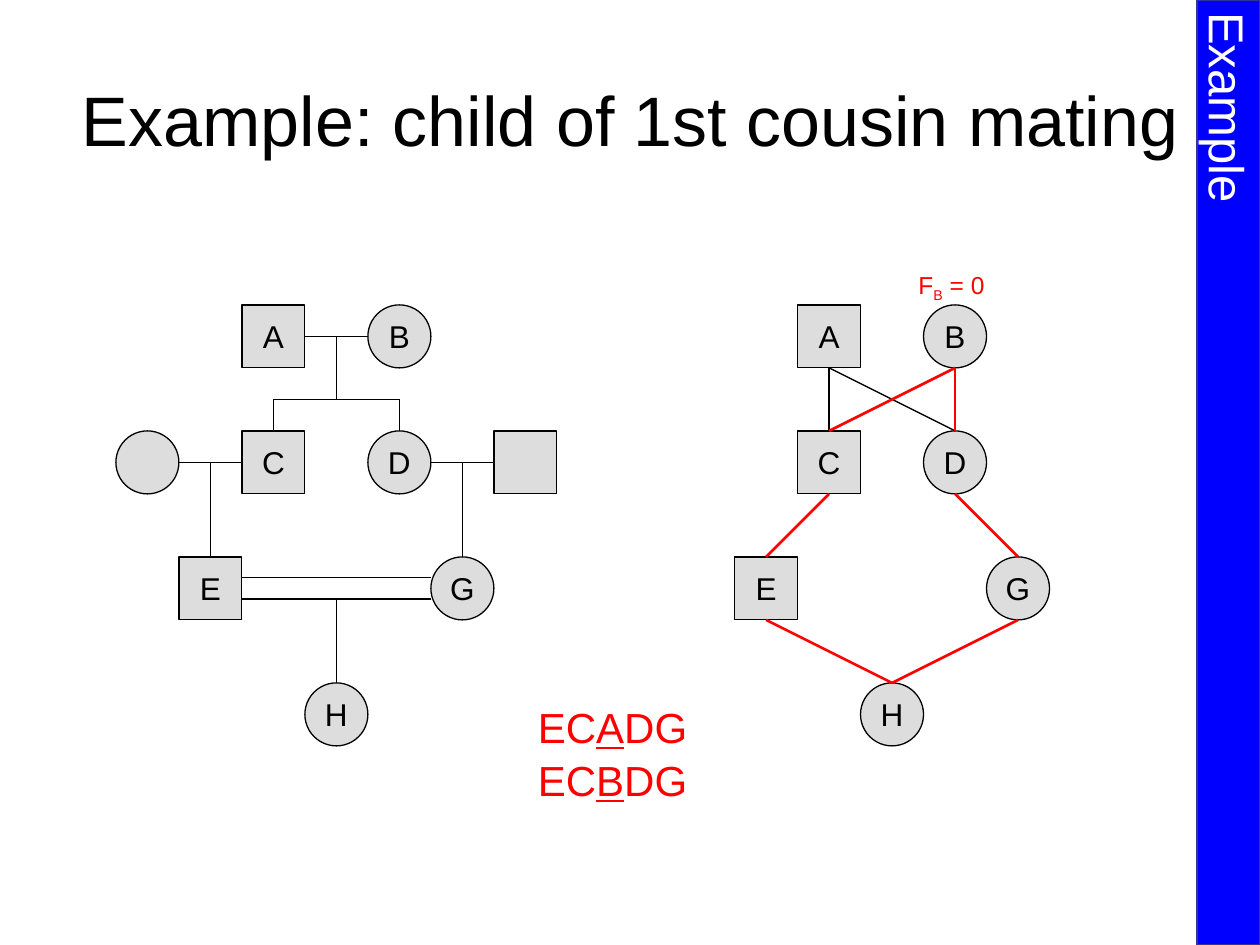
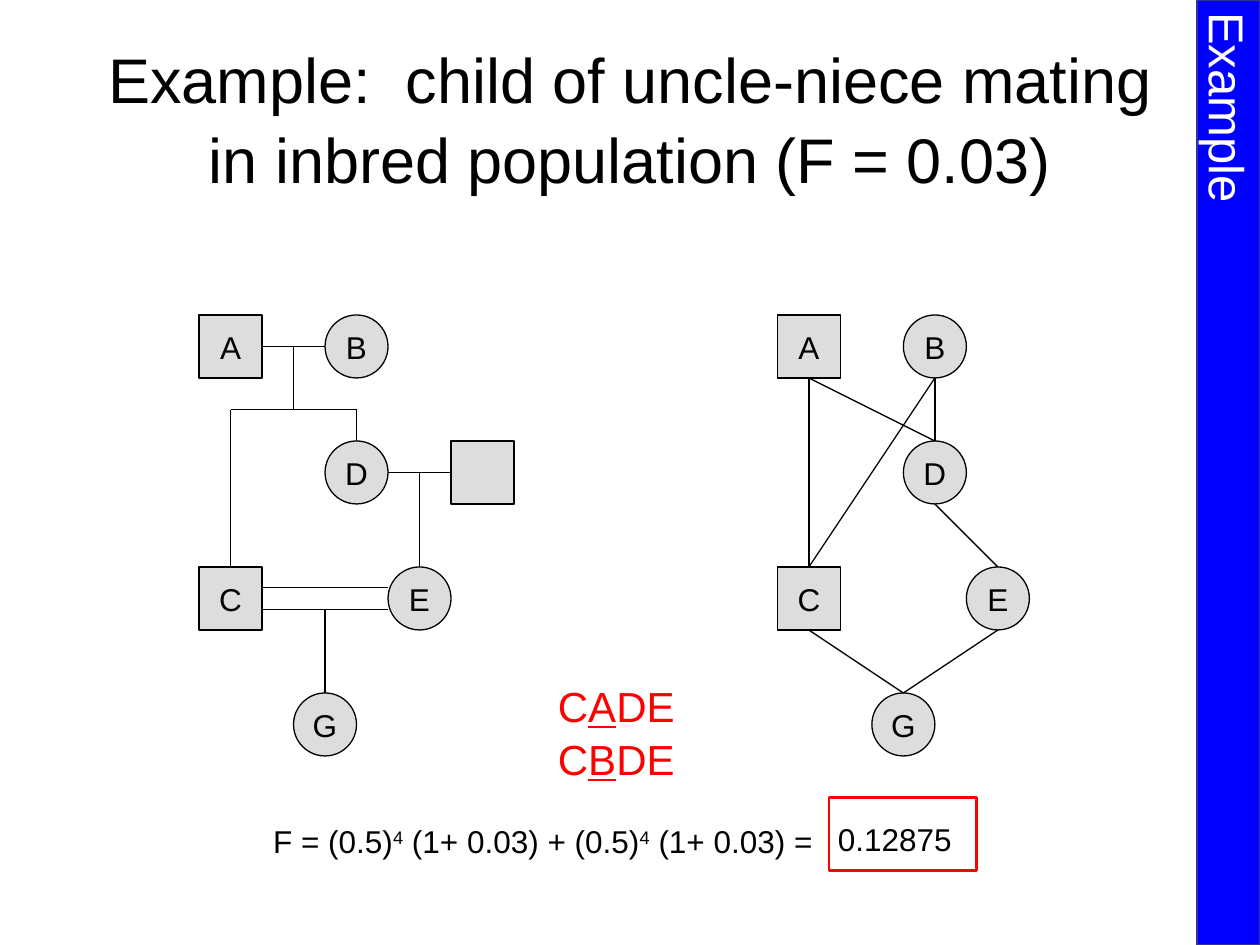
from pptx import Presentation
from pptx.dml.color import RGBColor
from pptx.enum.shapes import MSO_CONNECTOR, MSO_SHAPE
from pptx.enum.text import MSO_ANCHOR, MSO_AUTO_SIZE, PP_ALIGN
from pptx.oxml.ns import qn
from pptx.util import Inches, Pt
from lxml.etree import SubElement

HUES = {name: RGBColor.from_string(code) for name, code in {
    "black": "000000", "red": "FF0000", "white": "FFFFFF",
    "gray": "DDDDDD", "blue": "0000FF", "navy": "333399"}.items()}
CELL = 0.5
FONT = "Arial"

deck = Presentation()
deck.slide_width, deck.slide_height = Inches(10), Inches(7.5)


def write(para, parts, size, hue="black", align=PP_ALIGN.CENTER):
    para.alignment = align
    for text, mark in parts:
        run = para.add_run()
        run.text = text
        run.font.name, run.font.size = FONT, Pt(size)
        run.font.color.rgb = HUES[hue]
        if mark == "under":
            run.font.underline = True
        elif mark:
            run.font._element.set("baseline", mark)


def link(slide, ends, hue="black", width=0.75):
    line = slide.shapes.add_connector(MSO_CONNECTOR.STRAIGHT, *map(Inches, ends))
    line.line.color.rgb, line.line.width = HUES[hue], Pt(width)
    SubElement(line._element.spPr, qn("a:effectLst"))


cousin = {
    "title": "Example: child of 1st cousin mating", "size": 40,
    "top": 2.42, "men": "ACEm",
    "trees": [
        {"left": 0.92,
         "nodes": {"A": (2, 0), "B": (4, 0), "f": (0, 2), "C": (2, 2), "D": (4, 2),
                   "m": (6, 2), "E": (1, 4), "G": (5, 4), "H": (3, 6)},
         "lines": [(3, 0.5, 4, 0.5), (3.5, 0.5, 3.5, 1.5), (2.5, 1.5, 4.5, 1.5),
                   (2.5, 1.5, 2.5, 2), (4.5, 1.5, 4.5, 2), (1, 2.5, 2, 2.5),
                   (5, 2.5, 6, 2.5), (1.5, 2.5, 1.5, 4), (5.5, 2.5, 5.5, 4),
                   (2, 4.33, 5, 4.33), (2, 4.67, 5, 4.67), (3.5, 4.67, 3.5, 6)]},
        {"left": 5.83,
         "nodes": {"A": (1, 0), "B": (3, 0), "C": (1, 2), "D": (3, 2),
                   "E": (0, 4), "G": (4, 4), "H": (2, 6)},
         "black": ["AC", "AD"],
         "red": ["BC", "BD", "CE", "DG", "EH", "GH"]}],
    "notes": [
        ((4.17, 5.5, 1.39, 0.9), 24, "red",
         [[("EC", ""), (top, "under"), ("DG", "")] for top in "AB"]),
        ((7.19, 2.08, 0.73, 0.33), 14, "red",
         [[("F", ""), ("B", "-25000"), (" = 0", "")]])]}

niece = {
    "title": "Example:  child of uncle-niece mating in inbred population (F = 0.03)",
    "size": 36, "top": 2.5, "men": "ACm",
    "trees": [
        {"left": 1.58,
         "nodes": {"A": (0, 0), "B": (2, 0), "D": (2, 2), "m": (4, 2),
                   "C": (0, 4), "E": (3, 4), "G": (1.5, 6)},
         "lines": [(1, 0.5, 2, 0.5), (1.5, 0.5, 1.5, 1.5), (0.5, 1.5, 2.5, 1.5),
                   (0.5, 1.5, 0.5, 4), (2.5, 1.5, 2.5, 2), (3, 2.5, 4, 2.5),
                   (3.5, 2.5, 3.5, 4), (1, 4.33, 3, 4.33), (1, 4.67, 3, 4.67),
                   (2, 4.67, 2, 6)]},
        {"left": 6.17,
         "nodes": {"A": (0, 0), "B": (2, 0), "D": (2, 2), "C": (0, 4),
                   "E": (3, 4), "G": (1.5, 6)},
         "black": ["AC", "AD", "BC", "BD", "DE", "CG", "EG"]}],
    "notes": [
        ((4.33, 5.33, 1.13, 0.9), 24, "red",
         [[("C", ""), (top, "under"), ("DE", "")] for top in "AB"]),
        ((2.07, 6.46, 4.5, 0.4), 18, "black",
         [[("F = (0.5)", ""), ("4", "30000"), (" (1+ 0.03) + (0.5)", ""),
           ("4", "30000"), (" (1+ 0.03) =", "")]])]}

for page in (cousin, niece):
    slide = deck.slides.add_slide(deck.slide_layouts[5])
    title = slide.shapes.title
    title.left, title.top, title.width, title.height = map(Inches, (0.5, 0.3, 9, 1.25))
    frame = title.text_frame
    frame.auto_size, frame.vertical_anchor = MSO_AUTO_SIZE.NONE, MSO_ANCHOR.MIDDLE
    frame.paragraphs[0].line_spacing = 1.05
    write(frame.paragraphs[0], [(page["title"], "")], page["size"])

    for tree in page["trees"]:
        left, top, nodes = tree["left"], page["top"], tree["nodes"]
        for name, (col, row) in nodes.items():
            form = MSO_SHAPE.RECTANGLE if name in page["men"] else MSO_SHAPE.OVAL
            node = slide.shapes.add_shape(form, Inches(left + col * CELL),
                                          Inches(top + row * CELL), Inches(CELL), Inches(CELL))
            node.shadow.inherit = False
            node.fill.solid()
            node.fill.fore_color.rgb = HUES["gray"]
            node.line.color.rgb, node.line.width = HUES["black"], Pt(0.75)
            if name.isupper():
                node.text_frame.word_wrap = False
                node.text_frame.vertical_anchor = MSO_ANCHOR.MIDDLE
                write(node.text_frame.paragraphs[0], [(name, "")], 18)
        for x1, y1, x2, y2 in tree.get("lines", []):
            link(slide, (left + x1 * CELL, top + y1 * CELL, left + x2 * CELL, top + y2 * CELL))
        for hue, width in (("black", 0.75), ("red", 1.5)):
            for elder, child in tree.get(hue, []):
                (x1, y1), (x2, y2) = nodes[elder], nodes[child]
                link(slide, (left + (x1 + 0.5) * CELL, top + (y1 + 1) * CELL,
                             left + (x2 + 0.5) * CELL, top + y2 * CELL), hue, width)

    for place, size, hue, rows in page["notes"]:
        frame = slide.shapes.add_textbox(*map(Inches, place)).text_frame
        frame.word_wrap, frame.auto_size = False, MSO_AUTO_SIZE.SHAPE_TO_FIT_TEXT
        for count, parts in enumerate(rows):
            para = frame.add_paragraph() if count else frame.paragraphs[0]
            para.line_spacing = 1.05
            write(para, parts, size, hue, PP_ALIGN.LEFT)

    band = slide.shapes.add_shape(MSO_SHAPE.RECTANGLE, Inches(9.5), 0,
                                  Inches(CELL), deck.slide_height)
    band.shadow.inherit = False
    band.fill.solid()
    band.fill.fore_color.rgb = HUES["blue"]
    band.line.color.rgb, band.line.width = HUES["navy"], Pt(1)
    frame = band.text_frame
    frame.word_wrap, frame.vertical_anchor = False, MSO_ANCHOR.MIDDLE
    frame._txBody.bodyPr.set("vert", "eaVert")
    write(frame.paragraphs[0], [("Example", "")], 28, "white")

box = slide.shapes.add_shape(MSO_SHAPE.RECTANGLE, *map(Inches, (6.58, 6.33, 1.17, 0.58)))
box.shadow.inherit = False
box.fill.background()
box.line.color.rgb, box.line.width = HUES["red"], Pt(1.5)
frame = box.text_frame
frame.word_wrap, frame.vertical_anchor = True, MSO_ANCHOR.MIDDLE
frame.margin_left, frame.margin_right = Inches(0.07), 0
frame.margin_top, frame.margin_bottom = Inches(0.08), 0
write(frame.paragraphs[0], [("0.12875", "")], 18, align=PP_ALIGN.LEFT)

deck.save("out.pptx")
